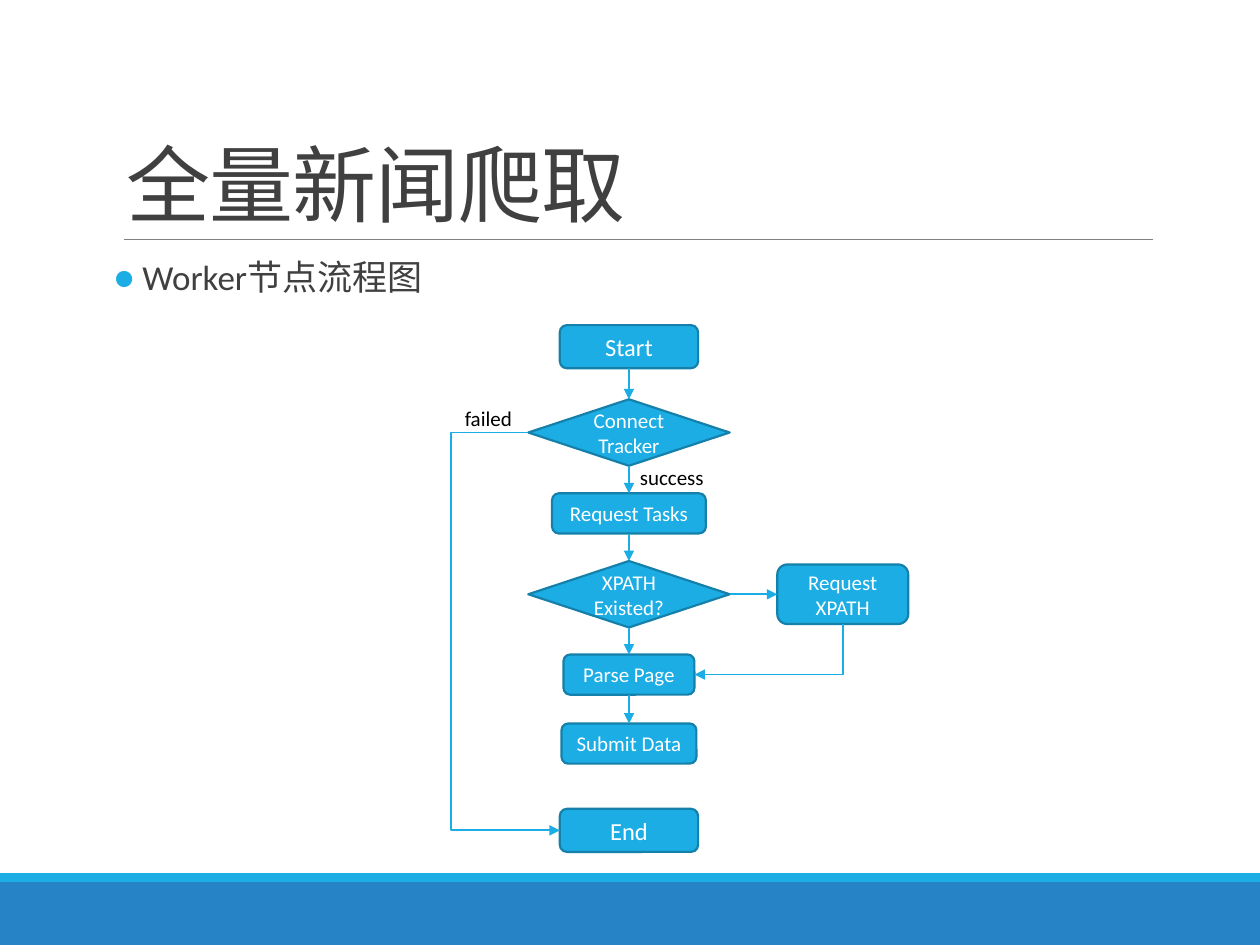
from pptx import Presentation
from pptx.dml.color import RGBColor
from pptx.enum.shapes import MSO_CONNECTOR, MSO_SHAPE
from pptx.enum.text import MSO_ANCHOR, MSO_AUTO_SIZE, PP_ALIGN
from pptx.oxml.ns import qn
from pptx.util import Cm, Pt
from lxml.etree import SubElement

COLORS = {
    "accent": "1CADE4",
    "outline": "1580A9",
    "footer": "2683C6",
    "rule": "808080",
    "text": "404040",
    "label": "000000",
    "white": "FFFFFF",
}
FONT = "Calibri"
TOP, LEFT, BOTTOM, RIGHT = range(4)
COLUMN = 12.68
SIDE_COLUMN = 16.99
NODES = {
    "Start": (MSO_SHAPE.ROUNDED_RECTANGLE, COLUMN, 6.99, 2.79, 0.87, 14),
    "Connect Tracker": (MSO_SHAPE.FLOWCHART_DECISION, COLUMN, 8.72, 4.06, 1.34, 12),
    "Request Tasks": (MSO_SHAPE.ROUNDED_RECTANGLE, COLUMN, 10.35, 3.1, 0.81, 12),
    "XPATH Existed?": (MSO_SHAPE.FLOWCHART_DECISION, COLUMN, 11.98, 4.06, 1.34, 12),
    "Request XPATH": (MSO_SHAPE.ROUNDED_RECTANGLE, SIDE_COLUMN, 11.98, 2.64, 1.2, 12),
    "Parse Page": (MSO_SHAPE.ROUNDED_RECTANGLE, COLUMN, 13.6, 2.64, 0.81, 12),
    "Submit Data": (MSO_SHAPE.ROUNDED_RECTANGLE, COLUMN, 14.99, 2.72, 0.81, 12),
    "End": (MSO_SHAPE.ROUNDED_RECTANGLE, COLUMN, 16.74, 2.79, 0.87, 14),
}
MAIN_FLOW = ["Start", "Connect Tracker", "Request Tasks", "XPATH Existed?",
             "Parse Page", "Submit Data"]


def color(name):
    """Return the named colour."""
    return RGBColor.from_string(COLORS[name])


def format_paragraph(paragraph, size, color_name, alignment=PP_ALIGN.LEFT):
    """Set the font and alignment of a paragraph."""
    paragraph.font.name = FONT
    paragraph.font.size = Pt(size)
    paragraph.font.color.rgb = color(color_name)
    paragraph.alignment = alignment


def add_bar(slide, top, height, color_name):
    """Add a full-width bar at the foot of the slide."""
    bar = slide.shapes.add_shape(MSO_SHAPE.RECTANGLE, 0, Cm(top), Cm(25.4), Cm(height))
    bar.shadow.inherit = False
    bar.fill.solid()
    bar.fill.fore_color.rgb = color(color_name)
    bar.line.fill.background()


def format_title(slide, text):
    """Place and fill the title placeholder."""
    title = slide.shapes.title
    title.left, title.top, title.width, title.height = Cm(2.29), Cm(0.79), Cm(20.96), Cm(4.04)
    frame = title.text_frame
    frame.text = text
    frame.auto_size = MSO_AUTO_SIZE.NONE
    frame.vertical_anchor = MSO_ANCHOR.BOTTOM
    paragraph = frame.paragraphs[0]
    paragraph.line_spacing = 0.85
    format_paragraph(paragraph, 48, "text")
    paragraph.runs[0].font._element.set("spc", "-50")


def add_text(slide, text, left, top, width, height, size, color_name, wrap=False):
    """Add a text box and return it."""
    box = slide.shapes.add_textbox(Cm(left), Cm(top), Cm(width), Cm(height))
    box.text_frame.word_wrap = wrap
    box.text_frame.text = text
    format_paragraph(box.text_frame.paragraphs[0], size, color_name)
    return box


def add_bullet_text(slide, text):
    """Add the bulleted subtitle."""
    frame = add_text(slide, text, 2.29, 5.13, 20.96, 1.27, 20, "text", True).text_frame
    frame.margin_left = frame.margin_right = 0
    paragraph = frame.paragraphs[0]
    paragraph.line_spacing = 0.9
    paragraph.space_before, paragraph.space_after = Pt(12), Pt(2)
    properties = paragraph._p.get_or_add_pPr()
    properties.set("marL", str(Cm(0.58)))
    properties.set("indent", str(Cm(-0.58)))
    bullet_color = SubElement(properties, qn("a:buClr"))
    SubElement(bullet_color, qn("a:srgbClr"), val=COLORS["accent"])
    SubElement(properties, qn("a:buFont"), typeface=FONT)
    SubElement(properties, qn("a:buChar"), char="●")
    properties.append(properties.find(qn("a:defRPr")))


def add_node(slide, text, kind, center_x, center_y, width, height, size):
    """Add a flowchart node around its centre."""
    node = slide.shapes.add_shape(kind, Cm(center_x - width / 2), Cm(center_y - height / 2),
                                  Cm(width), Cm(height))
    node.shadow.inherit = False
    node.fill.solid()
    node.fill.fore_color.rgb = color("accent")
    node.line.color.rgb = color("outline")
    node.line.width = Pt(1.25)
    node.text_frame.text = text
    node.text_frame.vertical_anchor = MSO_ANCHOR.MIDDLE
    format_paragraph(node.text_frame.paragraphs[0], size, "white", PP_ALIGN.CENTER)
    return node


def add_line(slide, kind, start, end, color_name, width):
    """Add a connector without a shadow."""
    connector = slide.shapes.add_connector(kind, *start, *end)
    connector.line.color.rgb = color(color_name)
    connector.line.width = Pt(width)
    SubElement(connector._element.spPr, qn("a:effectLst"))
    return connector


def add_arrow(slide, source, source_side, target, target_side, kind=MSO_CONNECTOR.STRAIGHT):
    """Join two nodes with an arrow."""
    arrow = add_line(slide, kind, (0, 0), (0, 0), "accent", 1)
    arrow.begin_connect(source, source_side)
    arrow.end_connect(target, target_side)
    line = arrow._element.spPr.find(qn("a:ln"))
    SubElement(line, qn("a:tailEnd"), type="triangle")
    return arrow


def set_detour(arrow, bend_x):
    """Move the vertical part of an elbow arrow to bend_x."""
    ratio = (bend_x - arrow.begin_x) / (arrow.end_x - arrow.begin_x)
    guides = arrow._element.spPr.find(qn("a:prstGeom")).get_or_add_avLst()
    SubElement(guides, qn("a:gd"), name="adj1", fmla=f"val {round(ratio * 100000)}")


def set_single_corner(arrow):
    """Turn an elbow arrow into one that goes down, then left."""
    center_x = (arrow.begin_x + arrow.end_x) // 2
    center_y = (arrow.begin_y + arrow.end_y) // 2
    width, height = arrow.height, arrow.width
    arrow.left, arrow.top = center_x - width // 2, center_y - height // 2
    arrow.width, arrow.height = width, height
    properties = arrow._element.spPr
    properties.find(qn("a:prstGeom")).set("prst", "bentConnector2")
    transform = properties.find(qn("a:xfrm"))
    transform.attrib.pop("flipH", None)
    transform.set("rot", "5400000")


def add_flowchart(slide):
    """Add the nodes, arrows and labels."""
    nodes = {text: add_node(slide, text, *values) for text, values in NODES.items()}
    for source, target in zip(MAIN_FLOW, MAIN_FLOW[1:]):
        add_arrow(slide, nodes[source], BOTTOM, nodes[target], TOP)
    add_arrow(slide, nodes["XPATH Existed?"], RIGHT, nodes["Request XPATH"], LEFT)
    failed = add_arrow(slide, nodes["Connect Tracker"], LEFT, nodes["End"], LEFT,
                       MSO_CONNECTOR.ELBOW)
    set_detour(failed, Cm(9.09))
    back = add_arrow(slide, nodes["Request XPATH"], BOTTOM, nodes["Parse Page"], RIGHT,
                     MSO_CONNECTOR.ELBOW)
    set_single_corner(back)
    add_text(slide, "success", 12.65, 9.25, 1.83, 0.76, 12, "label")
    add_text(slide, "failed", 9.12, 8.05, 1.47, 0.76, 12, "label")


def main():
    """Build and save the slide."""
    presentation = Presentation()
    presentation.slide_width, presentation.slide_height = Cm(25.4), Cm(19.05)
    slide = presentation.slides.add_slide(presentation.slide_layouts[5])
    add_bar(slide, 17.78, 1.27, "footer")
    add_bar(slide, 17.6, 0.18, "accent")
    add_line(slide, MSO_CONNECTOR.STRAIGHT, (Cm(2.49), Cm(4.83)), (Cm(23.24), Cm(4.83)),
             "rule", 0.5)
    format_title(slide, "全量新闻爬取")
    add_bullet_text(slide, "Worker节点流程图")
    add_flowchart(slide)
    presentation.save("out.pptx")


if __name__ == "__main__":
    main()
